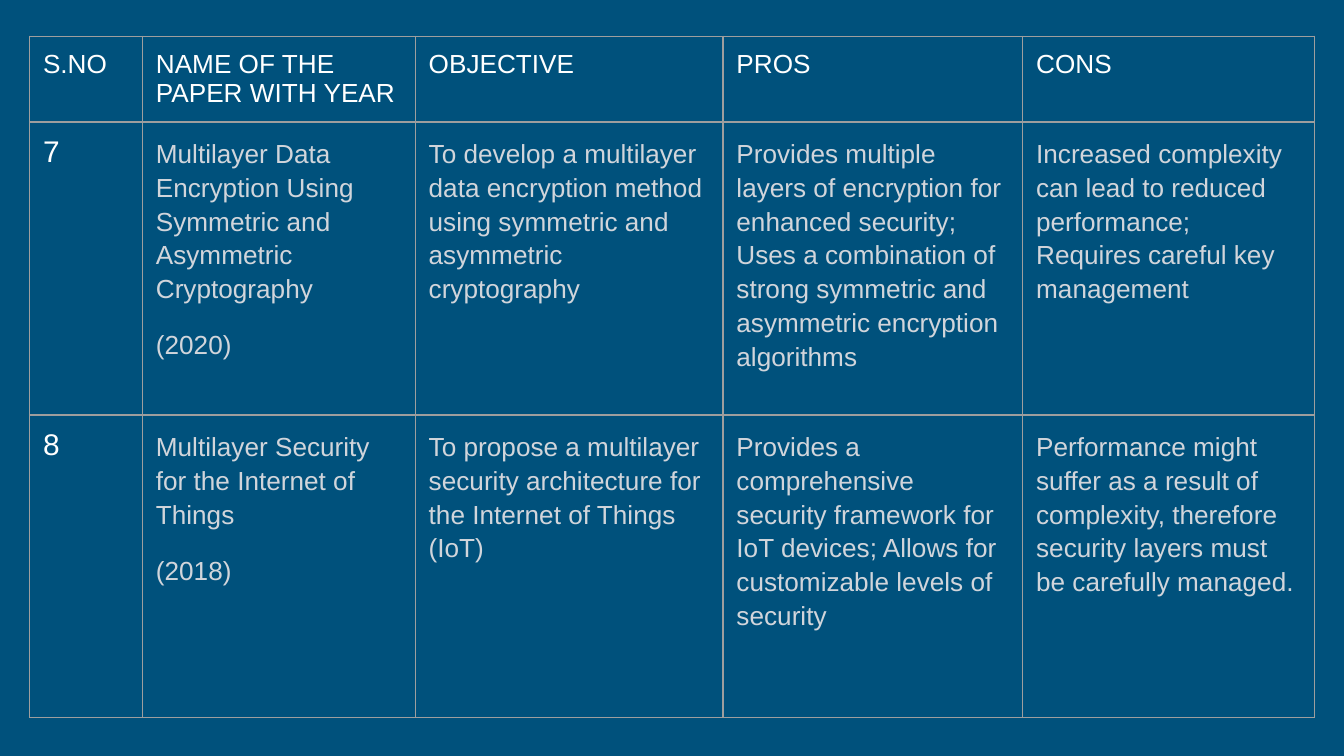
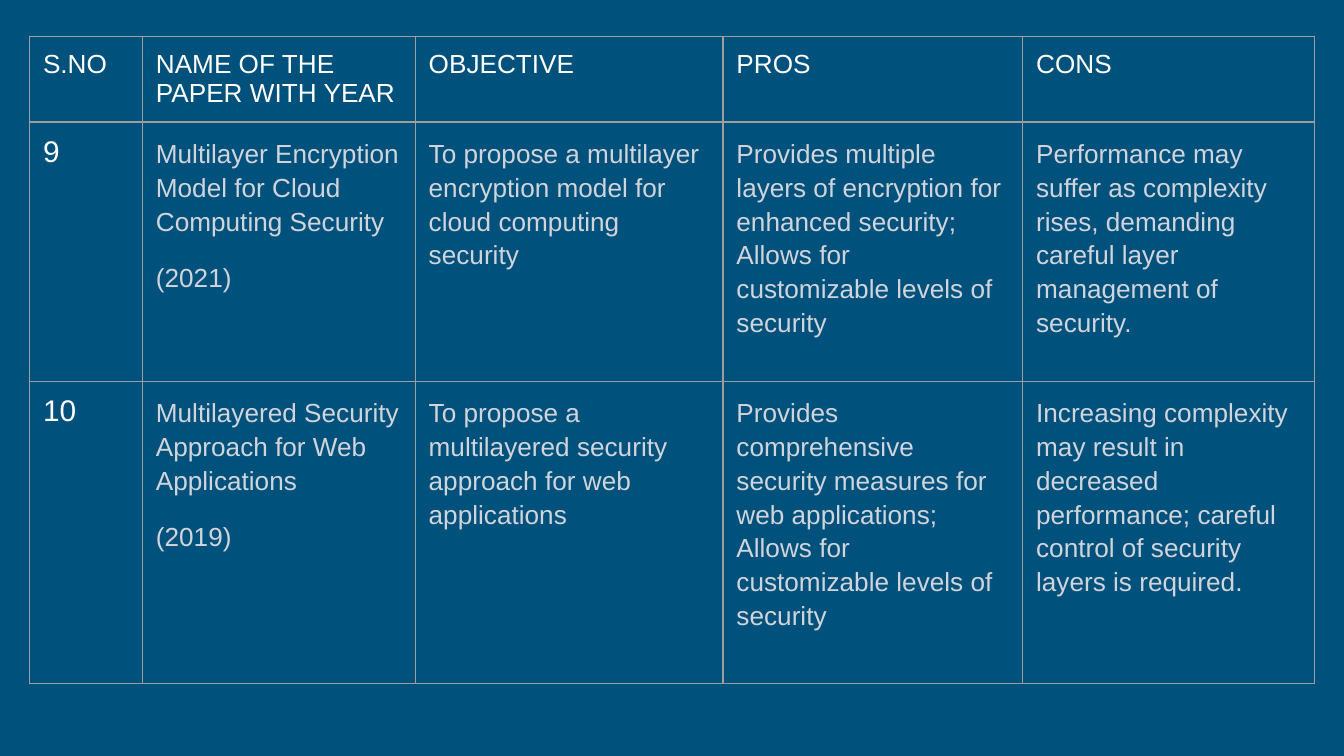
from dataclasses import dataclass

from lxml.etree import SubElement
from pptx import Presentation
from pptx.dml.color import RGBColor
from pptx.enum.text import PP_ALIGN
from pptx.oxml.ns import qn
from pptx.util import Inches, Pt

HEADINGS = ["S.NO", "NAME OF THE PAPER WITH YEAR", "OBJECTIVE", "PROS", "CONS"]
COLUMN_WIDTHS = [0.84, 2.03, 2.29, 2.23, 2.17]
HEADER_HEIGHT = 0.63

SURVEY_PAGES = [
    {
        "number_heading_align": PP_ALIGN.JUSTIFY,
        "row_heights": [2.18, 2.25],
        "papers": [
            (
                "7",
                ["Multilayer Data Encryption Using Symmetric and Asymmetric Cryptography", "(2020)"],
                "To develop a multilayer data encryption method using symmetric and asymmetric cryptography",
                "Provides multiple layers of encryption for enhanced security; Uses a combination of "
                "strong symmetric and asymmetric encryption algorithms",
                "Increased complexity can lead to reduced performance; Requires careful key management",
            ),
            (
                "8",
                ["Multilayer Security for the Internet of Things", "(2018)"],
                "To propose a multilayer security architecture for the Internet of Things (IoT)",
                "Provides a comprehensive security framework for IoT devices; "
                "Allows for customizable levels of security",
                "Performance might suffer as a result of complexity, therefore security layers "
                "must be carefully managed.",
            ),
        ],
    },
    {
        "number_heading_align": None,
        "row_heights": [1.93, 2.25],
        "papers": [
            (
                "9",
                ["Multilayer Encryption Model for Cloud Computing Security", "(2021)"],
                "To propose a multilayer encryption model for cloud computing security",
                "Provides multiple layers of encryption for enhanced security; "
                "Allows for customizable levels of security",
                "Performance may suffer as complexity rises, demanding careful layer management of security.",
            ),
            (
                "10",
                ["Multilayered Security Approach for Web Applications", "(2019)"],
                "To propose a multilayered security approach for web applications",
                "Provides comprehensive security measures for web applications; "
                "Allows for customizable levels of security",
                "Increasing complexity may result in decreased performance; careful control of "
                "security layers is required.",
            ),
        ],
    },
]


@dataclass(frozen=True)
class Theme:
    background: str = "00517C"
    strong: str = "FFFFFF"
    body: str = "D1D5DB"
    border: str = "9E9E9E"
    font: str = "Arial"
    text_size: float = 14
    number_size: float = 16
    border_width: float = 0.75
    body_spacing: float = 1.15
    paragraph_gap: float = 12
    inset: float = 0.1


THEME = Theme()


def write_text(cell, text, size=THEME.text_size, color=THEME.strong, spacing=None, align=None):
    lines = [text] if isinstance(text, str) else text
    for index, line in enumerate(lines):
        frame = cell.text_frame
        para = frame.add_paragraph() if index else frame.paragraphs[0]
        para.alignment = align
        if spacing:
            para.line_spacing = spacing
        if index:
            para.space_before = Pt(THEME.paragraph_gap)
        span = para.add_run()
        span.text = line
        span.font.name = THEME.font
        span.font.size = Pt(size)
        span.font.bold = False
        span.font.color.rgb = RGBColor.from_string(color)


def style_cell(cell):
    cell.margin_left = cell.margin_right = Inches(THEME.inset)
    cell.margin_top = cell.margin_bottom = Inches(THEME.inset)
    properties = cell._tc.get_or_add_tcPr()
    for side in ("a:lnL", "a:lnR", "a:lnT", "a:lnB"):
        line = SubElement(properties, qn(side), w=str(Pt(THEME.border_width)))
        fill = SubElement(line, qn("a:solidFill"))
        SubElement(fill, qn("a:srgbClr"), val=THEME.border)
    cell.fill.background()


def add_survey_table(page, papers, row_heights, number_heading_align):
    heights = [HEADER_HEIGHT, *row_heights]
    table = page.shapes.add_table(
        len(heights), len(COLUMN_WIDTHS), Inches(0.22), Inches(0.27),
        Inches(sum(COLUMN_WIDTHS)), Inches(sum(heights)),
    ).table
    table.first_row = table.horz_banding = False
    for column, width in zip(table.columns, COLUMN_WIDTHS):
        column.width = Inches(width)
    for row, height in zip(table.rows, heights):
        row.height = Inches(height)
    for row_index, values in enumerate([HEADINGS, *papers]):
        for column_index, value in enumerate(values):
            cell = table.cell(row_index, column_index)
            style_cell(cell)
            if row_index == 0:
                write_text(cell, value, align=None if column_index else number_heading_align)
            elif column_index == 0:
                write_text(cell, value, size=THEME.number_size)
            else:
                write_text(cell, value, color=THEME.body, spacing=THEME.body_spacing)


def main():
    deck = Presentation()
    deck.slide_width = Inches(10)
    deck.slide_height = deck.slide_width * 9 // 16
    for survey in SURVEY_PAGES:
        page = deck.slides.add_slide(deck.slide_layouts[6])
        page.background.fill.solid()
        page.background.fill.fore_color.rgb = RGBColor.from_string(THEME.background)
        add_survey_table(page, **survey)
    deck.save("out.pptx")


if __name__ == "__main__":
    main()
